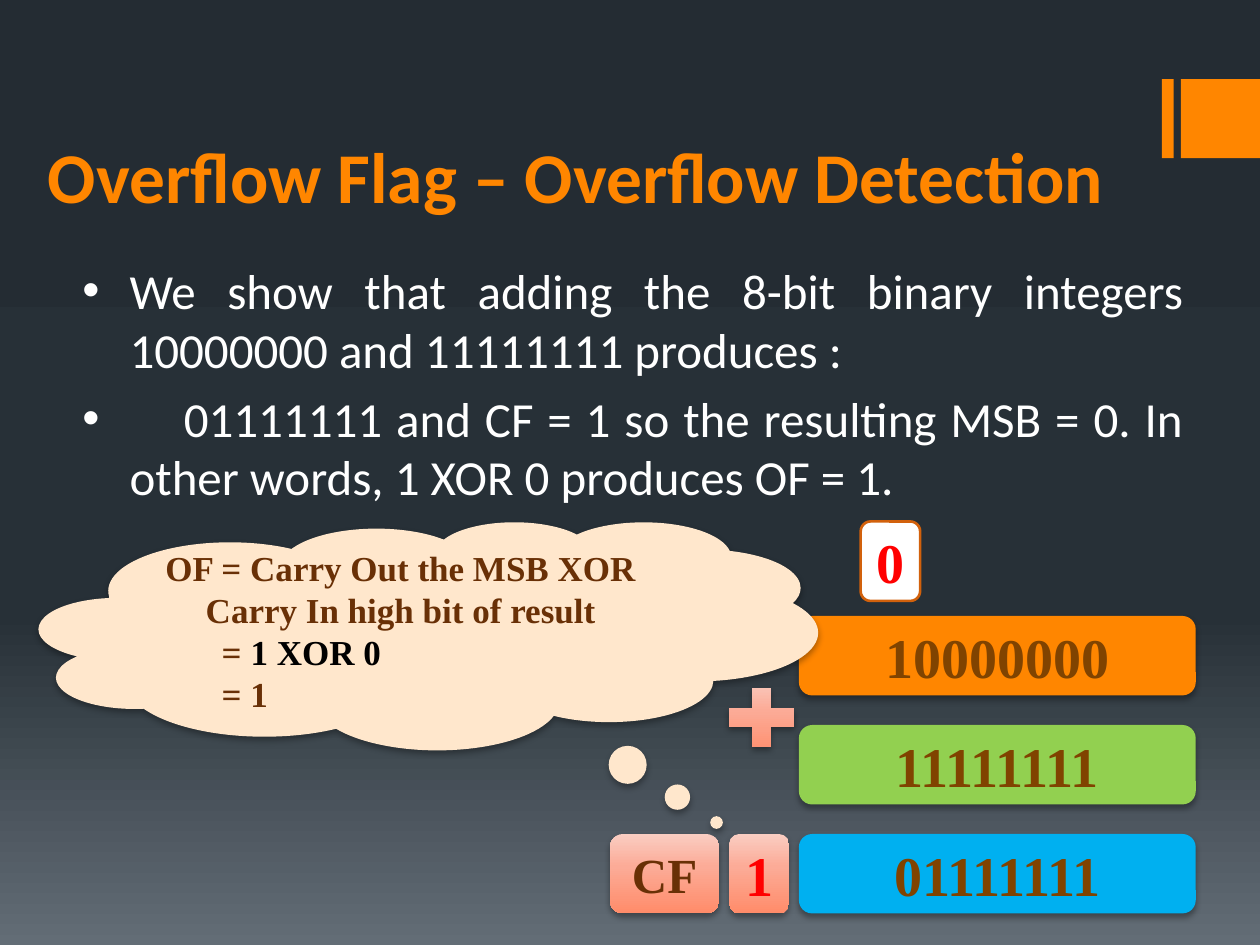
"""Build a slide that explains overflow detection with an 8-bit addition."""
from lxml import etree
from pptx import Presentation
from pptx import util as u
from pptx.dml import color
from pptx.enum import shapes, text
from pptx.oxml import ns

Pt = u.Pt
SHAPE = shapes.MSO_SHAPE
ALIGN = text.PP_ALIGN
SERIF, SANS = "Times New Roman", "Calibri"
COLORS = {
    "orange": "FF8600", "green": "92D050", "blue": "00B0F0", "cream": "FFE7CC",
    "white": "FFFFFF", "black": "000000", "red": "FF0000", "rust": "D2610C",
    "brown": "804300", "dark_brown": "693006",
}
NIGHT = [(0, "242C33"), (65, "273037"), (100, "636D76")]
SALMON = [(0, "F9CDC2"), (41, "FCAB97"), (100, "FF8C6A")]


def rgb(name):
    return color.RGBColor.from_string(COLORS[name])


def add_element(parent, tag, **attributes):
    return etree.SubElement(parent, ns.qn(tag), attributes)


def set_gradient(fill, properties, stops):
    fill.solid()
    solid = properties.find(ns.qn("a:solidFill"))
    gradient = etree.Element(ns.qn("a:gradFill"), rotWithShape="1")
    stop_list = add_element(gradient, "a:gsLst")
    for position, value in stops:
        stop = add_element(stop_list, "a:gs", pos=str(position * 1000))
        add_element(stop, "a:srgbClr", val=value)
    add_element(gradient, "a:lin", ang="5400000", scaled="0")
    properties.replace(solid, gradient)


def add_run(paragraph, words, size, name, font=SERIF, bold=True):
    run = paragraph.add_run()
    run.text = words
    run.font.size = Pt(size)
    run.font.name = font
    run.font.bold = bold
    run.font.color.rgb = rgb(name)


def add_block(slide, kind, box, fill, shadow=True, line=None):
    shape = slide.shapes.add_shape(kind, *map(Pt, box))
    properties = shape._element.spPr
    if isinstance(fill, list):
        set_gradient(shape.fill, properties, fill)
    else:
        shape.fill.solid()
        shape.fill.fore_color.rgb = rgb(fill)
    if line:
        shape.line.color.rgb = rgb(line)
        shape.line.width = Pt(1.5)
    else:
        shape.line.fill.background()
    shape.shadow.inherit = False
    if shadow:
        outer = add_element(properties.find(ns.qn("a:effectLst")), "a:outerShdw",
                            blurRad=str(Pt(3.5)), dist=str(Pt(2.2)),
                            dir="5400000", rotWithShape="0")
        shade = add_element(outer, "a:srgbClr", val=COLORS["black"])
        add_element(shade, "a:alpha", val="32000")
    return shape


def add_label(slide, box, words, fill, name, size=32, **style):
    shape = add_block(slide, SHAPE.ROUNDED_RECTANGLE, box, fill, **style)
    shape.text_frame.vertical_anchor = text.MSO_ANCHOR.MIDDLE
    paragraph = shape.text_frame.paragraphs[0]
    paragraph.alignment = ALIGN.CENTER
    add_run(paragraph, words, size, name)


def add_corner(slide, left, top, size):
    for offset, width in ((0, 6.7), (10.8, size)):
        add_block(slide, SHAPE.RECTANGLE, (left + offset, top, width, size),
                  "orange", shadow=False)


def add_title(slide, left, top, width, height):
    title = slide.shapes.title
    title.left, title.top, title.width, title.height = map(Pt, (left, top, width, height))
    frame = title.text_frame
    frame.auto_size = text.MSO_AUTO_SIZE.NONE
    frame.vertical_anchor = text.MSO_ANCHOR.BOTTOM
    paragraph = frame.paragraphs[0]
    paragraph.alignment = ALIGN.LEFT
    add_run(paragraph, "Overflow Flag – Overflow Detection", 40.8, "orange", SANS)


def add_body(slide, left, top, width, height):
    frame = slide.shapes.add_textbox(*map(Pt, (left, top, width, height))).text_frame
    frame.word_wrap = True
    points = (
        "We show that adding the 8-bit binary integers 10000000 and 11111111 produces :",
        "\t01111111 and CF = 1 so the resulting MSB = 0. In other words, "
        "1 XOR 0 produces OF = 1.",
    )
    for index, words in enumerate(points):
        paragraph = frame.add_paragraph() if index else frame.paragraphs[0]
        paragraph.alignment = ALIGN.JUSTIFY
        paragraph.space_before = Pt(5.6)
        properties = paragraph._p.get_or_add_pPr()
        properties.set("marL", str(Pt(36)))
        properties.set("indent", str(Pt(-27)))
        add_element(properties, "a:buFont", typeface="Arial")
        add_element(properties, "a:buChar", char="•")
        tabs = add_element(properties, "a:tabLst")
        add_element(tabs, "a:tab", pos=str(Pt(67)), algn="l")
        add_run(paragraph, words, 28, "white", SANS, False)


def add_sum(slide, left, top, width, height):
    row, step, gap = 45.4, 62.3, 5.7
    number_width, digit_width, flag_width = 226.8, 34, 62.6
    number_left = left + width - number_width
    first, last = top + height - row - 2 * step, top + height - row
    digit_left = number_left - gap - digit_width
    add_label(slide, (left, last, flag_width, row), "CF", SALMON, "dark_brown", 28)
    add_label(slide, (digit_left, last, digit_width, row), "1", SALMON, "red")
    add_block(slide, SHAPE.MATH_PLUS, (number_left - 46.8, first + 35.3, 51, row), SALMON)
    numbers = (("10000000", "orange"), ("11111111", "green"), ("01111111", "blue"))
    for index, (words, fill) in enumerate(numbers):
        box = (number_left, first + index * step, number_width, row)
        add_label(slide, box, words, fill, "brown")
    add_label(slide, (number_left + 35.3, top, digit_width, row), "0", "white", "red",
              shadow=False, line="rust")


def add_cloud(slide, left, top, width, height):
    cloud = add_block(slide, SHAPE.CLOUD_CALLOUT, (left, top, width, height), "cream")
    cloud.adjustments[0], cloud.adjustments[1] = 0.37, 0.82
    frame = cloud.text_frame
    frame.vertical_anchor = text.MSO_ANCHOR.MIDDLE
    lines = (
        [("OF = Carry Out the MSB XOR Carry In high bit of result", "dark_brown")],
        [("= ", "dark_brown"), ("1 XOR 0", "black")],
        [("= 1", "dark_brown")],
    )
    for index, runs in enumerate(lines):
        paragraph = frame.add_paragraph() if index else frame.paragraphs[0]
        paragraph.alignment = ALIGN.LEFT if index else ALIGN.CENTER
        if index:
            paragraph.level = 1
            paragraph._p.get_or_add_pPr().set("marL", str(Pt(36)))
        for words, name in runs:
            add_run(paragraph, words, 20, name)


def main():
    presentation = Presentation()
    presentation.slide_width, presentation.slide_height = Pt(720), Pt(540)
    slide = presentation.slides.add_slide(presentation.slide_layouts[5])
    fill = slide.background.fill
    fill.solid()
    set_gradient(fill, slide._element.find(".//" + ns.qn("p:bgPr")), NIGHT)
    add_corner(slide, 664, 45.2, 45.2)
    add_title(slide, 20.2, 37.4, 632.9, 90.7)
    add_body(slide, 31, 145.4, 652.3, 368.6)
    add_sum(slide, 348.5, 298, 334.8, 224)
    add_cloud(slide, 22.3, 298, 445, 130.3)
    presentation.save("out.pptx")


main()
